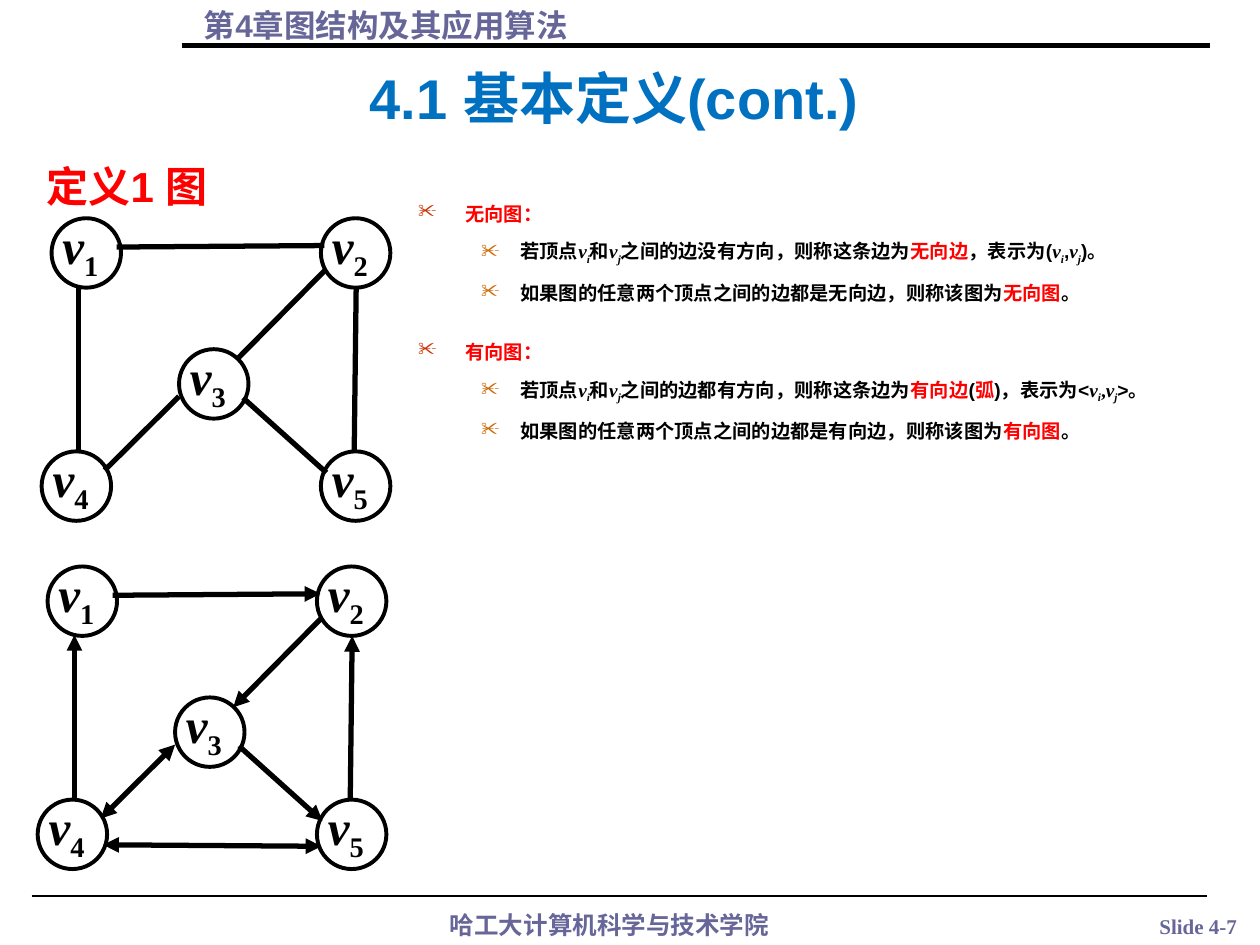
from lxml import etree
from pptx import Presentation
from pptx.dml.color import RGBColor
from pptx.enum import shapes, text
from pptx.oxml import ns
from pptx.util import Cm, Pt

BLACK = RGBColor(0, 0, 0)
RED = RGBColor(0xFF, 0, 0)
BLUE = RGBColor(0, 0x70, 0xC0)
SLATE = RGBColor(0x66, 0x66, 0x99)
RUST = RGBColor(0xCC, 0x33, 0)
ORANGE = RGBColor(0xCC, 0x66, 0)

ARIAL, TIMES, NOTO = "Arial", "Times New Roman", "Noto Sans CJK SC"
TOP, BOTTOM = text.MSO_ANCHOR.TOP, text.MSO_ANCHOR.BOTTOM
LEFT, CENTER = text.PP_ALIGN.LEFT, text.PP_ALIGN.CENTER

PLAIN = {"name": ARIAL, "size": Pt(11), "bold": True, "color": BLACK}
KEY = PLAIN | {"color": RED}
SERIF = PLAIN | {"name": TIMES}
VARIABLE = SERIF | {"italic": True}
SUBSCRIPT = VARIABLE | {"baseline": -25000}
NODE = VARIABLE | {"size": Pt(28)}
NODE_INDEX = NODE | {"italic": False, "baseline": -25000}

VI = [("v", VARIABLE), ("i", SUBSCRIPT)]
VJ = [("v", VARIABLE), ("j", SUBSCRIPT)]

UNDIRECTED = [
    [("若顶点", PLAIN), *VI, ("和", PLAIN), *VJ, ("之间的边没有方向，则称这条边为", PLAIN),
     ("无向边", KEY), ("，表示为(", PLAIN), *VI, (",", PLAIN), *VJ, (")。", PLAIN)],
    [("如果图的任意两个顶点之间的边都是无向边，则称该图为", PLAIN), ("无向图", KEY), ("。", PLAIN)],
]
DIRECTED = [
    [("若顶点", PLAIN), *VI, ("和", SERIF), *VJ, ("之间的边都有方向，则称这条边为", PLAIN),
     ("有向边", KEY), ("(", PLAIN), ("弧", KEY), (")，表示为<", PLAIN),
     *VI, (",", SERIF), *VJ, (">。", PLAIN)],
    [("如果图的任意两个顶点之间的边都是有向边，则称该图为", PLAIN), ("有向图", KEY), ("。", PLAIN)],
]

NODES = {1: (0.2, 0), 2: (5.63, 0), 3: (2.77, 2.64), 4: (0, 4.7), 5: (5.63, 4.7)}
EDGES = {
    (1, 2): (1.51, 0.58, 5.7, 0.55),
    (4, 3): (1.27, 5.08, 2.77, 3.59),
    (5, 2): (6.3, 4.72, 6.34, 1.4),
    (2, 3): (5.72, 1.04, 3.94, 2.84),
    (3, 5): (4.06, 3.62, 5.74, 5.13),
    (4, 1): (0.74, 4.72, 0.74, 1.38),
    (4, 5): (1.32, 5.61, 5.72, 5.64),
}
TWO_WAY = [(4, 3), (4, 5)]


def add_runs(paragraph, runs):
    """Append (wording, format) runs to a paragraph."""
    for wording, style in runs:
        run = paragraph.add_run()
        run.text = wording
        for key, value in style.items():
            if key == "color":
                run.font.color.rgb = value
            elif key == "baseline":
                run._r.get_or_add_rPr().set("baseline", str(value))
            else:
                setattr(run.font, key, value)


def add_box(parent, box, wrap=True, anchor=TOP, margins=(0.25, 0.13, 0.25, 0.13)):
    """Add an empty text box and return its frame."""
    frame = parent.add_textbox(*map(Cm, box)).text_frame
    left, top, right, bottom = map(Cm, margins)
    values = {"word_wrap": wrap, "vertical_anchor": anchor, "margin_left": left,
              "margin_top": top, "margin_right": right, "margin_bottom": bottom}
    for key, value in values.items():
        setattr(frame, key, value)
    return frame


def add_line_of_text(parent, box, wording, style, align=LEFT, **frame_values):
    """Add a text box that holds one line."""
    paragraph = add_box(parent, box, **frame_values).paragraphs[0]
    paragraph.alignment = align
    add_runs(paragraph, [(wording, PLAIN | style)])


def add_rule(parent, ends, width, arrows=()):
    """Add a black straight line with triangles at the named ends."""
    rule = parent.add_connector(shapes.MSO_CONNECTOR.STRAIGHT, *map(Cm, ends))
    rule.line.color.rgb = BLACK
    rule.line.width = Pt(width)
    outline = rule.line._get_or_add_ln()
    for end in arrows:
        etree.SubElement(outline, ns.qn(f"a:{end}"), type="triangle")
    etree.SubElement(rule._element.spPr, ns.qn("a:effectLst"))


def add_header(parent, left, top, width):
    """Place the chapter name above its thick rule."""
    add_line_of_text(parent, (left + 0.2, top, width - 0.3, 1.02), "第4章图结构及其应用算法",
                     {"size": Pt(18), "color": SLATE})
    add_rule(parent, (left, top + 0.92, left + width, top + 0.92), 3)


def add_footer(parent, left, top, width):
    """Place the thin rule, the school and the slide number."""
    add_rule(parent, (left, top, left + width, top), 0.75)
    add_line_of_text(parent, (left + 7.08, top + 0.15, 9.14, 0.86), "哈工大计算机科学与技术学院",
                     {"name": NOTO, "size": Pt(14), "color": SLATE}, CENTER)
    add_line_of_text(parent, (left + 22.27, top + 0.23, 2.49, 0.76), "Slide 4-7",
                     {"name": TIMES, "size": Pt(12), "color": SLATE}, CENTER, wrap=False)


def add_bullet(paragraph, color, margin, indent):
    """Give a paragraph a scissors bullet and a hanging indent."""
    properties = paragraph._p.get_or_add_pPr()
    properties.set("marL", str(Cm(margin)))
    properties.set("indent", str(Cm(-indent)))
    tint = etree.SubElement(properties, ns.qn("a:buClr"))
    etree.SubElement(tint, ns.qn("a:srgbClr"), val=str(color))
    etree.SubElement(properties, ns.qn("a:buChar"), char="✂")


def add_definitions(parent, box):
    """Place the two bulleted definitions."""
    frame = add_box(parent, box)
    sections = [("无向图：", UNDIRECTED, 0), ("有向图：", DIRECTED, 25.3)]
    for term, statements, gap in sections:
        heading = frame.add_paragraph() if gap else frame.paragraphs[0]
        add_bullet(heading, RUST, 0.95, 0.95)
        heading.line_spacing = 0.6
        heading.space_before = Pt(gap)
        add_runs(heading, [(term, KEY)])
        for runs in statements:
            statement = frame.add_paragraph()
            statement.level = 1
            add_bullet(statement, ORANGE, 2.06, 0.79)
            statement.space_before = Pt(8.8)
            add_runs(statement, runs)


def add_graph(parent, left, top, edges, directed):
    """Draw the five vertices and the chosen edges as one group."""
    group = parent.add_group_shape().shapes
    for number, (x, y) in NODES.items():
        x, y = left + x, top + y
        circle = group.add_shape(shapes.MSO_SHAPE.OVAL, Cm(x), Cm(y), Cm(1.4), Cm(1.4))
        circle.shadow.inherit = False
        circle.fill.background()
        circle.line.color.rgb = BLACK
        circle.line.width = Pt(2.25)
        label = add_box(group, (x + 0.19, y - 0.14, 1.3, 1.65), margins=(0.03, 0.08, 0, 0.03))
        add_runs(label.paragraphs[0], [("v", NODE), (str(number), NODE_INDEX)])
    for edge in edges:
        x1, y1, x2, y2 = EDGES[edge]
        arrows = ["headEnd"] if directed and edge in TWO_WAY else []
        arrows += ["tailEnd"] if directed else []
        add_rule(group, (left + x1, top + y1, left + x2, top + y2), 3, arrows)


def main():
    """Build the slide and save it."""
    deck = Presentation()
    deck.slide_width, deck.slide_height = Cm(25.4), Cm(19.05)
    parts = deck.slides.add_slide(deck.slide_layouts[6]).shapes
    add_footer(parts, 0.64, 18.06, 23.7)
    add_header(parts, 3.66, 0, 20.73)
    add_line_of_text(parts, (3.45, 1.07, 17.86, 1.7), "4.1 基本定义(cont.)",
                     {"size": Pt(32), "color": BLUE}, CENTER, anchor=BOTTOM)
    add_line_of_text(parts, (0.69, 3.1, 24.18, 1.3), "定义1 图", {"size": Pt(24), "color": RED})
    add_definitions(parts, (8.18, 4.11, 16.66, 5.99))
    add_graph(parts, 0.76, 11.42, EDGES, directed=True)
    add_graph(parts, 0.84, 4.4, [edge for edge in EDGES if edge != (4, 5)], directed=False)
    deck.save("out.pptx")


if __name__ == "__main__":
    main()
